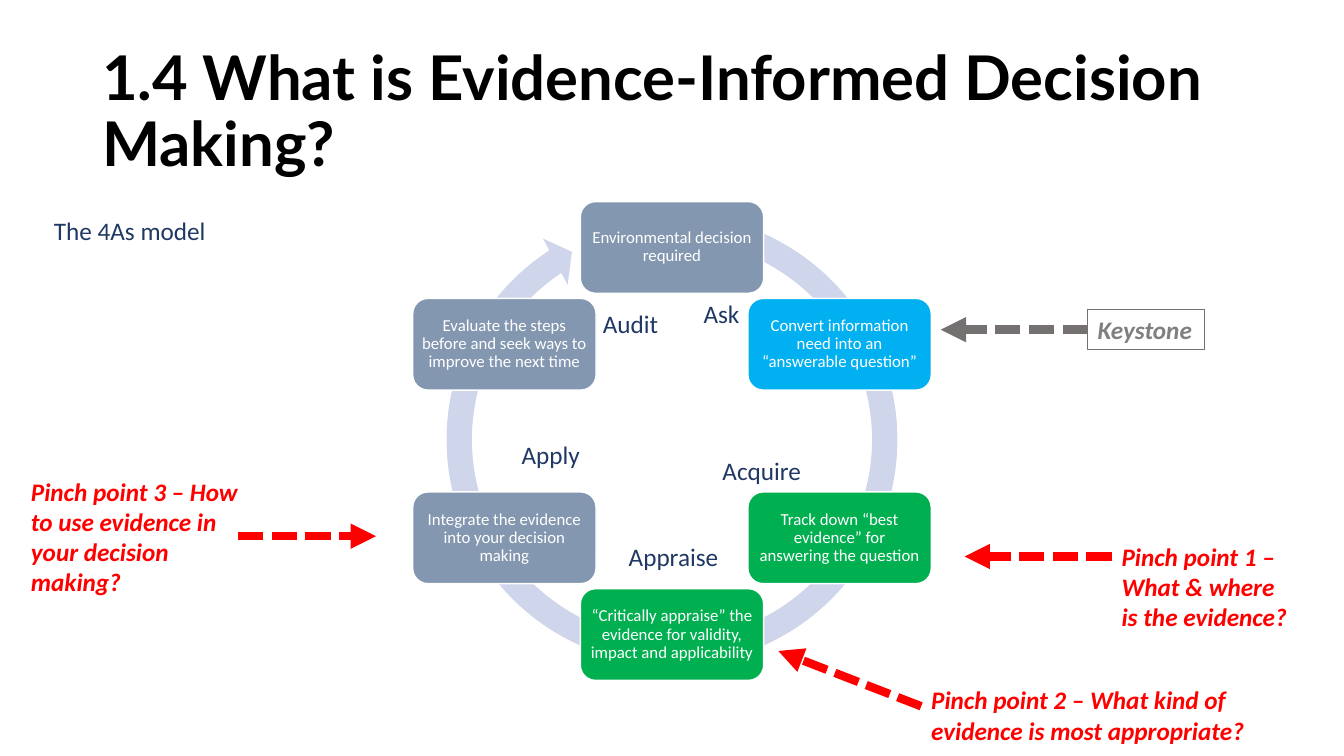
from dataclasses import dataclass
from math import cos, radians, sin

from pptx import Presentation
from pptx.dml.color import RGBColor
from pptx.enum.dml import MSO_LINE
from pptx.enum.shapes import MSO_CONNECTOR, MSO_SHAPE
from pptx.enum.text import MSO_ANCHOR, PP_ALIGN
from pptx.oxml.ns import qn
from pptx.util import Pt

STRAIGHT = MSO_CONNECTOR.STRAIGHT
CIRCULAR_ARROW = MSO_SHAPE.CIRCULAR_ARROW
ROUNDED = MSO_SHAPE.ROUNDED_RECTANGLE
RECTANGLE = MSO_SHAPE.RECTANGLE
DASHED = MSO_LINE.SQUARE_DOT
MIDDLE = MSO_ANCHOR.MIDDLE
TOP = MSO_ANCHOR.TOP
CENTER = PP_ALIGN.CENTER
LEFT = PP_ALIGN.LEFT
LEFT_SIDE = 1


@dataclass(frozen=True)
class Theme:
    title_font: str = "Lato"
    body_font: str = "Calibri"
    title_size: int = 44
    label_size: int = 18
    step_size: int = 12
    black: str = "000000"
    white: str = "FFFFFF"
    navy: str = "203864"
    slate: str = "8497B0"
    blue: str = "00B0F0"
    green: str = "00B050"
    ring: str = "CFD5EA"
    red: str = "FF0000"
    key_line: str = "767171"
    key_text: str = "808080"


THEME = Theme()

CYCLE_X, CYCLE_Y, CYCLE_RADIUS = 480, 315, 138.25
STEP_WIDTH, STEP_HEIGHT = 131, 65.5
RING_SIZE = 341.5
RING_ADJUSTMENTS = (0.053, 3.126, 142.039, 171.412, 0.055)

STEPS = [
    ("Environmental decision required", THEME.slate),
    ("Convert information need into an “answerable question”", THEME.blue),
    ("Track down “best evidence” for answering the question", THEME.green),
    ("“Critically appraise” the evidence for validity, impact and applicability",
     THEME.green),
    ("Integrate the evidence into your decision making", THEME.slate),
    ("Evaluate the steps before and seek ways to improve the next time",
     THEME.slate),
]

STAGES = [
    ("Ask", 495.5, 209.5, 52),
    ("Acquire", 509, 322, 79),
    ("Appraise", 442, 383, 79),
    ("Apply", 365.5, 310, 79),
    ("Audit", 423.5, 216.5, 79),
    ("The 4As model", 31.5, 150, 138),
]

PINCH_POINTS = [
    ("Pinch point 1 – What & where is the evidence?",
     (794, 383, 135, 73), (794, 397.5), (689, 397.5)),
    ("Pinch point 2 – What kind of evidence is most appropriate?",
     (658, 485.5, 264, 51), (658, 504.5), (556, 465)),
    ("Pinch point 3 – How to use evidence in your decision making?",
     (15, 336.5, 170, 94), (170, 383), (268.5, 383)),
]


def points(*lengths):
    return [Pt(length) for length in lengths]


def rgb(color):
    return RGBColor.from_string(color)


def write(frame, text, color, size, font=THEME.body_font, bold=False,
          italic=False, align=LEFT, anchor=TOP, spacing=1.0):
    frame.word_wrap = True
    frame.vertical_anchor = anchor
    paragraph = frame.paragraphs[0]
    paragraph.alignment = align
    paragraph.line_spacing = spacing
    run = paragraph.add_run()
    run.text = text
    run.font.name = font
    run.font.size = Pt(size)
    run.font.bold = bold
    run.font.italic = italic
    run.font.color.rgb = rgb(color)


def add_text(slide, box, text, color, size=THEME.label_size, **style):
    label = slide.shapes.add_textbox(*points(*box))
    write(label.text_frame, text, color, size, **style)


def add_panel(slide, kind, box, fill=None, line=None, line_width=1):
    panel = slide.shapes.add_shape(kind, *points(*box))
    panel.shadow.inherit = False
    if fill:
        panel.fill.solid()
        panel.fill.fore_color.rgb = rgb(fill)
    else:
        panel.fill.background()
    if line:
        panel.line.color.rgb = rgb(line)
        panel.line.width = Pt(line_width)
    else:
        panel.line.fill.background()
    return panel


def add_arrow(slide, start, end, color):
    arrow = slide.shapes.add_connector(STRAIGHT, *points(*start, *end))
    arrow.line.color.rgb = rgb(color)
    arrow.line.width = Pt(6)
    arrow.line.dash_style = DASHED
    outline = arrow.line._get_or_add_ln()
    head = outline.makeelement(qn("a:tailEnd"), {"type": "triangle"})
    outline.append(head)
    properties = arrow._element.spPr
    properties.append(properties.makeelement(qn("a:effectLst"), {}))
    return arrow


def add_cycle(slide):
    ring = add_panel(slide, CIRCULAR_ARROW,
                     (CYCLE_X - RING_SIZE / 2, CYCLE_Y - 1 - RING_SIZE / 2,
                      RING_SIZE, RING_SIZE), THEME.ring)
    for index, value in enumerate(RING_ADJUSTMENTS):
        ring.adjustments[index] = value
    for index, (text, fill) in enumerate(STEPS):
        angle = radians(index * 360 / len(STEPS))
        left = CYCLE_X + CYCLE_RADIUS * sin(angle) - STEP_WIDTH / 2
        top = CYCLE_Y - CYCLE_RADIUS * cos(angle) - STEP_HEIGHT / 2
        step = add_panel(slide, ROUNDED, (left, top, STEP_WIDTH, STEP_HEIGHT),
                         fill, THEME.white)
        frame = step.text_frame
        frame.margin_left = frame.margin_right = Pt(3.5)
        frame.margin_top = frame.margin_bottom = Pt(3.5)
        write(frame, text, THEME.white, THEME.step_size,
              align=CENTER, anchor=MIDDLE, spacing=0.9)


def add_keystone(slide):
    keystone = add_panel(slide, RECTANGLE, (777, 221, 83.5, 29),
                         line=THEME.key_line, line_width=0.75)
    write(keystone.text_frame, "Keystone", THEME.key_text, THEME.label_size,
          bold=True, italic=True)
    arrow = add_arrow(slide, (777, 235.5), (672, 235.5), THEME.key_line)
    arrow.begin_connect(keystone, LEFT_SIDE)


def main():
    deck = Presentation()
    deck.slide_width, deck.slide_height = points(960, 540)
    slide = deck.slides.add_slide(deck.slide_layouts[6])
    add_text(slide, (66, 28.75, 828, 104.5),
             "1.4 What is Evidence-Informed Decision Making?", THEME.black,
             THEME.title_size, font=THEME.title_font, bold=True,
             anchor=MIDDLE, spacing=0.9)
    add_cycle(slide)
    for text, left, top, width in STAGES:
        add_text(slide, (left, top, width, 29), text, THEME.navy)
    for text, box, start, end in PINCH_POINTS:
        add_arrow(slide, start, end, THEME.red)
        add_text(slide, box, text, THEME.red, bold=True, italic=True)
    add_keystone(slide)
    deck.save("out.pptx")


if __name__ == "__main__":
    main()
